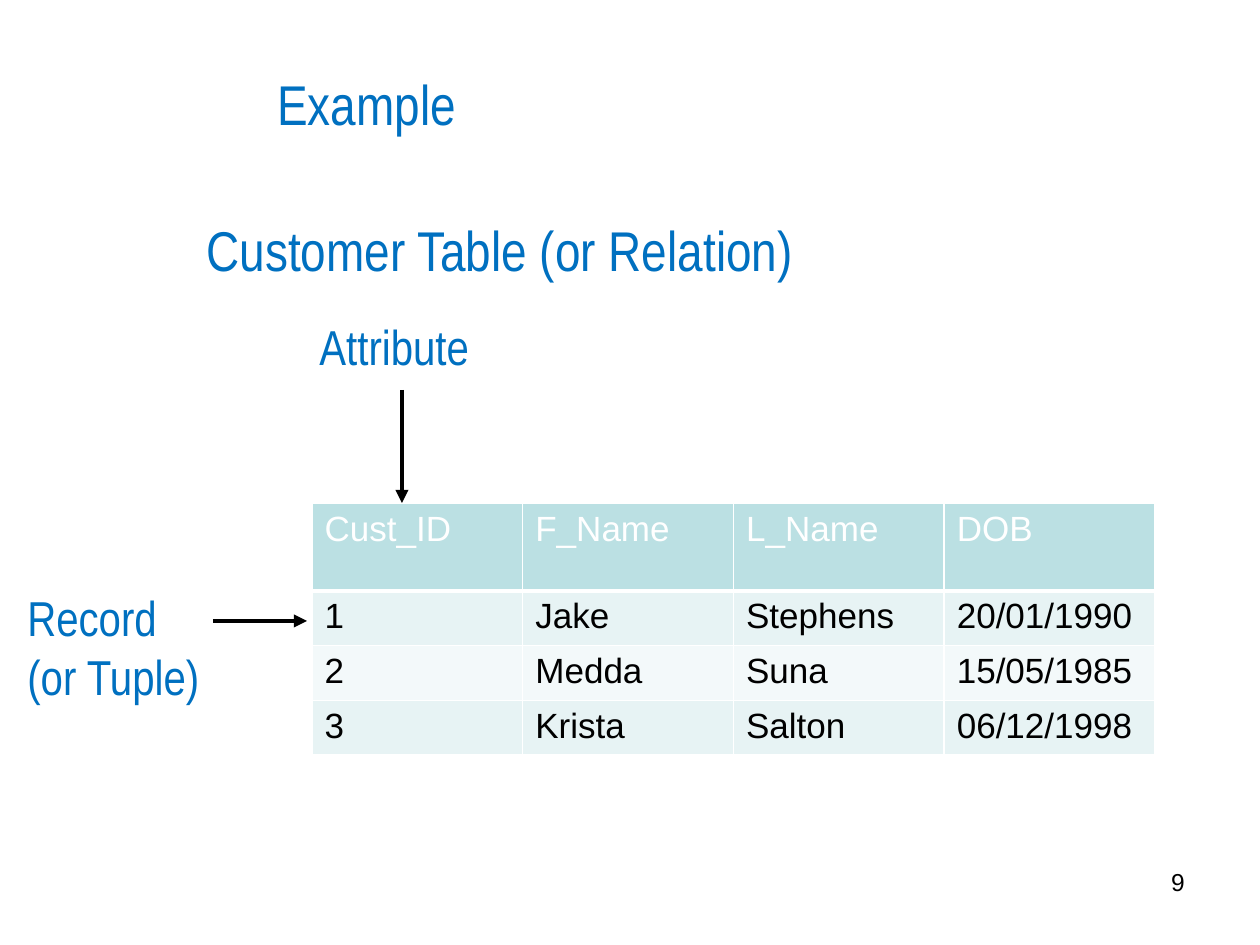
from lxml import etree
from pptx import Presentation
from pptx.dml.color import RGBColor
from pptx.enum.shapes import MSO_CONNECTOR
from pptx.enum.text import MSO_ANCHOR, PP_ALIGN
from pptx.oxml.ns import qn
from pptx.util import Pt

STRAIGHT = MSO_CONNECTOR.STRAIGHT
TOP, MIDDLE = MSO_ANCHOR.TOP, MSO_ANCHOR.MIDDLE
LEFT, RIGHT = PP_ALIGN.LEFT, PP_ALIGN.RIGHT
EMU_PER_INCH = 914400
PX_PER_INCH = 126
BLUE, BLACK, WHITE = "0070C0", "000000", "FFFFFF"
HEADER_FILL = "BBE0E3"
BAND_FILLS = ("E7F3F4", "F3F9FA")
CUSTOMERS = [
    ("Cust_ID", "F_Name", "L_Name", "DOB"),
    ("1", "Jake", "Stephens", "20/01/1990"),
    ("2", "Medda", "Suna", "15/05/1985"),
    ("3", "Krista", "Salton", "06/12/1998"),
]


def px(length):
    return round(length * EMU_PER_INCH / PX_PER_INCH)


def color(hex_string):
    return RGBColor.from_string(hex_string)


def format_text(text_frame, size, font_name, hex_string, alignment=LEFT):
    for paragraph in text_frame.paragraphs:
        paragraph.alignment = alignment
        for run in paragraph.runs:
            run.font.size = Pt(size)
            run.font.name = font_name
            run.font.color.rgb = color(hex_string)


def add_label(slide, box, text, size, font_name="Arial Narrow",
              hex_string=BLUE, alignment=LEFT, anchor=TOP):
    shape = slide.shapes.add_textbox(*map(px, box))
    text_frame = shape.text_frame
    text_frame.word_wrap = True
    text_frame.vertical_anchor = anchor
    text_frame.text = text
    format_text(text_frame, size, font_name, hex_string, alignment)


def add_arrow(slide, start, end):
    connector = slide.shapes.add_connector(STRAIGHT, *map(px, start + end))
    connector.line.color.rgb = color(BLACK)
    connector.line.width = Pt(2.5)
    properties = connector._element.spPr
    line = properties.find(qn("a:ln"))
    etree.SubElement(line, qn("a:tailEnd"), type="triangle")
    etree.SubElement(properties, qn("a:effectLst"))


def set_borders(cell, bottom_width):
    properties = cell._tc.get_or_add_tcPr()
    widths = {"lnL": 1, "lnR": 1, "lnT": 1, "lnB": bottom_width}
    for index, (side, width) in enumerate(widths.items()):
        border = etree.Element(qn(f"a:{side}"), w=str(Pt(width)))
        fill = etree.SubElement(border, qn("a:solidFill"))
        etree.SubElement(fill, qn("a:srgbClr"), val=WHITE)
        properties.insert(index, border)


def add_customer_table(slide, box, header_height):
    left, top, width, height = box
    row_count, column_count = len(CUSTOMERS), len(CUSTOMERS[0])
    table = slide.shapes.add_table(row_count, column_count, *map(px, box)).table
    row_height = (height - header_height) / (row_count - 1)
    for column in table.columns:
        column.width = px(width / column_count)
    for row_index, values in enumerate(CUSTOMERS):
        is_header = row_index == 0
        table.rows[row_index].height = px(header_height if is_header else row_height)
        fill = HEADER_FILL if is_header else BAND_FILLS[(row_index - 1) % 2]
        for column_index, value in enumerate(values):
            cell = table.cell(row_index, column_index)
            cell.text = value
            format_text(cell.text_frame, 20, "Arial", WHITE if is_header else BLACK)
            cell.fill.solid()
            cell.fill.fore_color.rgb = color(fill)
            set_borders(cell, 3 if is_header else 1)


def add_headings(slide, box):
    left, top, width, height = box
    add_label(slide, (left + 71, top, 785, 100), "Example", 32, anchor=MIDDLE)
    add_label(slide, (left, top + 156, width, 81), "Customer Table (or Relation)", 32)


def add_annotated_table(slide, box):
    left, top, width, height = box
    table_left, table_top = left + 297, top + 193
    add_customer_table(slide, (table_left, table_top, width - 297, height - 193), 88)
    add_label(slide, (left + 292, top, 273, 72), "Attribute", 28)
    add_arrow(slide, (left + 387, top + 80), (left + 387, table_top))
    add_label(slide, (left, top + 271, 258, 131), "Record\n(or Tuple)", 28)
    add_arrow(slide, (left + 198, top + 311), (table_left - 5, top + 311))


def main():
    presentation = Presentation()
    presentation.slide_width, presentation.slide_height = px(1260), px(945)
    slide = presentation.slides.add_slide(presentation.slide_layouts[6])
    add_headings(slide, (194, 53, 798, 237))
    add_annotated_table(slide, (15, 310, 1140, 436))
    add_label(slide, (903, 861, 294, 66), "9", 14, "Arial", BLACK, RIGHT)
    presentation.save("out.pptx")


if __name__ == "__main__":
    main()
